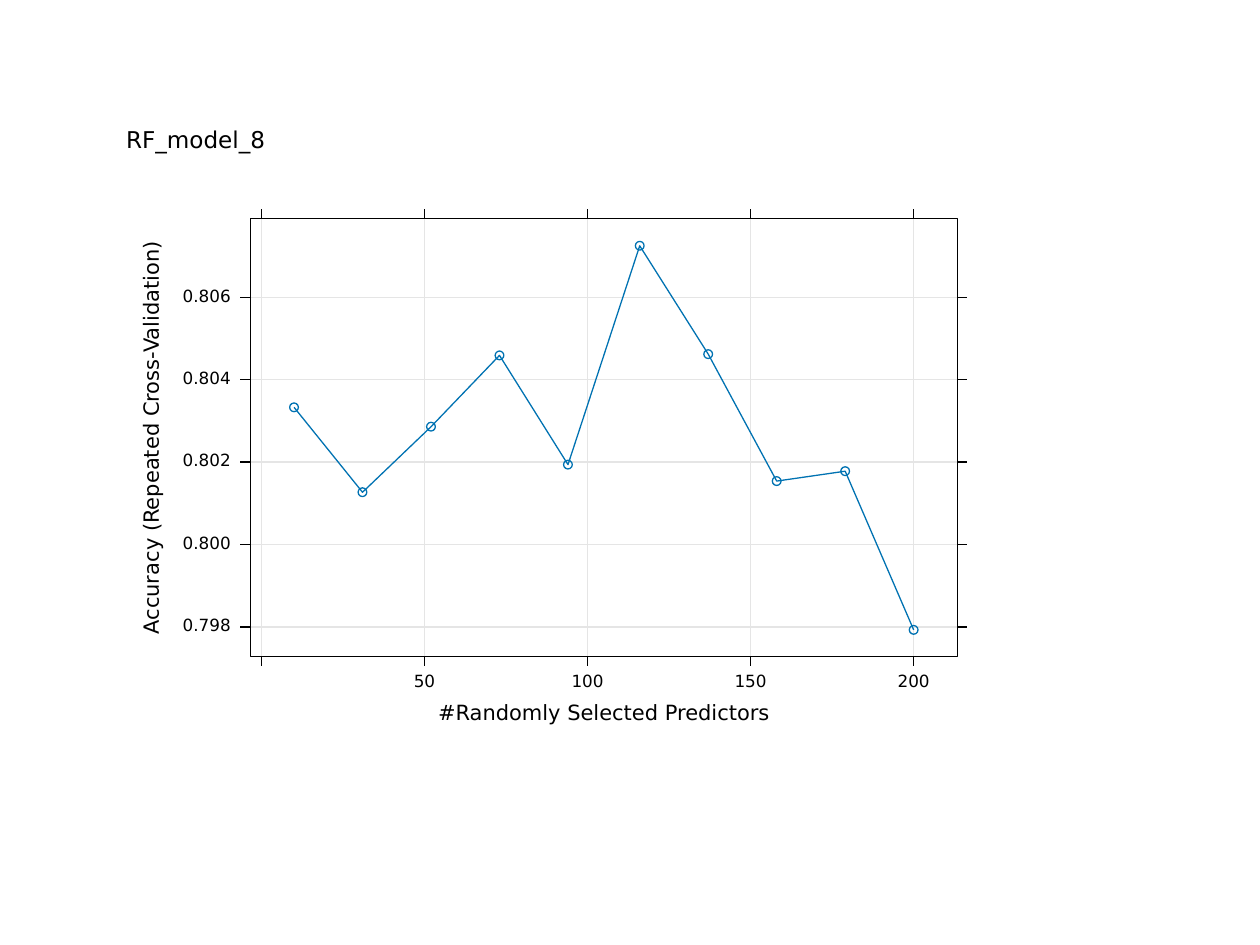
"""Draw the accuracy plot of a tuned random forest on one slide."""
from typing import NamedTuple

from lxml import etree
from pptx import Presentation
from pptx.dml.color import RGBColor
from pptx.enum.shapes import MSO_CONNECTOR, MSO_SHAPE
from pptx.enum.text import MSO_ANCHOR, PP_ALIGN
from pptx.oxml.ns import qn
from pptx.util import Pt

BLACK = RGBColor(0x00, 0x00, 0x00)
WHITE = RGBColor(0xFF, 0xFF, 0xFF)
GREY = RGBColor(0xE5, 0xE5, 0xE5)
BLUE = RGBColor(0x00, 0x72, 0xB2)
RECT, OVAL = MSO_SHAPE.RECTANGLE, MSO_SHAPE.OVAL
STRAIGHT = MSO_CONNECTOR.STRAIGHT
MIDDLE = MSO_ANCHOR.MIDDLE
LEFT, CENTER = PP_ALIGN.LEFT, PP_ALIGN.CENTER
FONT = "DejaVu Sans"
STROKE = 0.75
TICK = 5.7
DOT = 5


class Box(NamedTuple):
    left: float
    top: float
    width: float
    height: float


class Score(NamedTuple):
    count: int
    rate: float


FRAME = Box(143.1, 124.9, 404, 250.2)
RIGHT = FRAME.left + FRAME.width
BASE = FRAME.top + FRAME.height
COUNTS = (0, 50, 100, 150, 200)
RATES = (0.798, 0.8, 0.802, 0.804, 0.806)
SCORES = (
    Score(10, 0.80333), Score(31, 0.80127), Score(52, 0.80286),
    Score(73, 0.80459), Score(94, 0.80194), Score(116, 0.80725),
    Score(137, 0.80462), Score(158, 0.80154), Score(179, 0.80178),
    Score(200, 0.79793),
)


def plot_x(count: float) -> float:
    """Return the place of a predictor count across the slide."""
    return 149.4 + count / 50 * 93.18


def plot_y(rate: float) -> float:
    """Return the place of an accuracy down the slide."""
    return 358.3 - (rate - 0.798) / 0.002 * 47.1


def add_text(slide, box: Box, text: str, *, size: float, turn: float = 0, align=LEFT) -> None:
    """Add one line of text."""
    shape = slide.shapes.add_textbox(*map(Pt, box))
    shape.rotation = turn
    frame = shape.text_frame
    frame.margin_left = frame.margin_right = frame.margin_top = frame.margin_bottom = 0
    frame.word_wrap = False
    frame.vertical_anchor = MIDDLE
    para = frame.paragraphs[0]
    para.alignment = align
    para.line_spacing = Pt(size)
    run = para.add_run()
    run.text = text
    run.font.name = FONT
    run.font.size = Pt(size)
    run.font.color.rgb = BLACK


def add_line(slide, x: float, y: float, end_x: float, end_y: float, color: RGBColor) -> None:
    """Add a straight line."""
    line = slide.shapes.add_connector(STRAIGHT, Pt(x), Pt(y), Pt(end_x), Pt(end_y))
    line.line.color.rgb = color
    line.line.width = Pt(STROKE)
    etree.SubElement(line._element.spPr, qn("a:effectLst"))


def style(shape, color: RGBColor, fill: RGBColor | None = None) -> None:
    """Set the outline and fill of a shape."""
    shape.shadow.inherit = False
    shape.line.color.rgb = color
    shape.line.width = Pt(STROKE)
    if fill is None:
        shape.fill.background()
    else:
        shape.fill.solid()
        shape.fill.fore_color.rgb = fill


def add_shape(slide, kind, box: Box, color: RGBColor, fill: RGBColor | None = None) -> None:
    """Add a preset shape."""
    style(slide.shapes.add_shape(kind, *map(Pt, box)), color, fill)


def add_axes(slide) -> None:
    """Add the ticks and their labels, then the grid."""
    for count in COUNTS:
        x = plot_x(count)
        add_line(slide, x, FRAME.top, x, FRAME.top - TICK, BLACK)
        add_line(slide, x, BASE, x, BASE + TICK, BLACK)
        if count:
            width = 6.2 * len(str(count))
            box = Box(x - width / 2, 386.5, width, 7.2)
            add_text(slide, box, str(count), size=9.6, align=CENTER)
    for rate in RATES:
        y = plot_y(rate)
        add_line(slide, FRAME.left, y, FRAME.left - TICK, y, BLACK)
        add_line(slide, RIGHT, y, RIGHT + TICK, y, BLACK)
        add_text(slide, Box(104.4, y - 3.8, 27.5, 7.2), f"{rate:.3f}", size=9.6)
    for rate in RATES:
        add_line(slide, FRAME.left, plot_y(rate), RIGHT, plot_y(rate), GREY)
    for count in COUNTS:
        add_line(slide, plot_x(count), BASE, plot_x(count), FRAME.top, GREY)


def add_scores(slide) -> None:
    """Add the dots and the line through them."""
    spots = [(plot_x(score.count), plot_y(score.rate)) for score in SCORES]
    for x, y in spots:
        add_shape(slide, OVAL, Box(x - DOT / 2, y - DOT / 2, DOT, DOT), BLUE)
    first, *rest = [(Pt(x), Pt(y)) for x, y in spots]
    curve = slide.shapes.build_freeform(*first)
    curve.add_line_segments(rest, close=False)
    style(curve.convert_to_shape(), BLUE)


def main() -> None:
    """Build and save the slide."""
    deck = Presentation()
    deck.slide_width, deck.slide_height = Pt(720), Pt(540)
    slide = deck.slides.add_slide(deck.slide_layouts[6])
    add_shape(slide, RECT, Box(72, 72, 504, 360), WHITE, WHITE)
    add_text(slide, Box(250.3, 402.3, 190, 11.5), "#Randomly Selected Predictors", size=12)
    add_text(slide, Box(-26.6, 243, 227.5, 11.5), "Accuracy (Repeated Cross-Validation)",
             size=12, turn=270)
    add_axes(slide)
    add_scores(slide)
    add_shape(slide, RECT, FRAME, BLACK)
    add_text(slide, Box(72, 74.2, 84, 13), "RF_model_8", size=13.2)
    deck.save("out.pptx")


if __name__ == "__main__":
    main()
